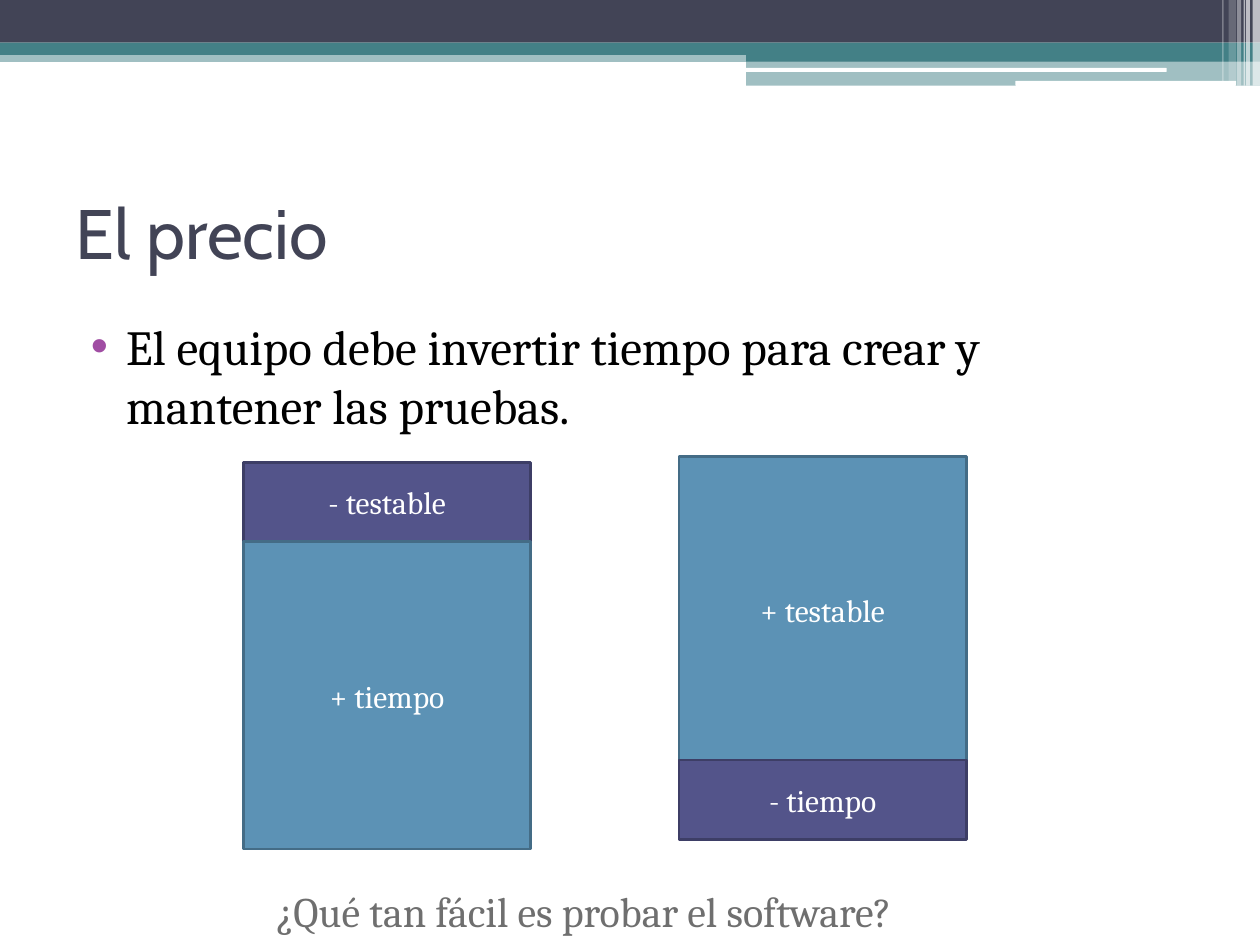
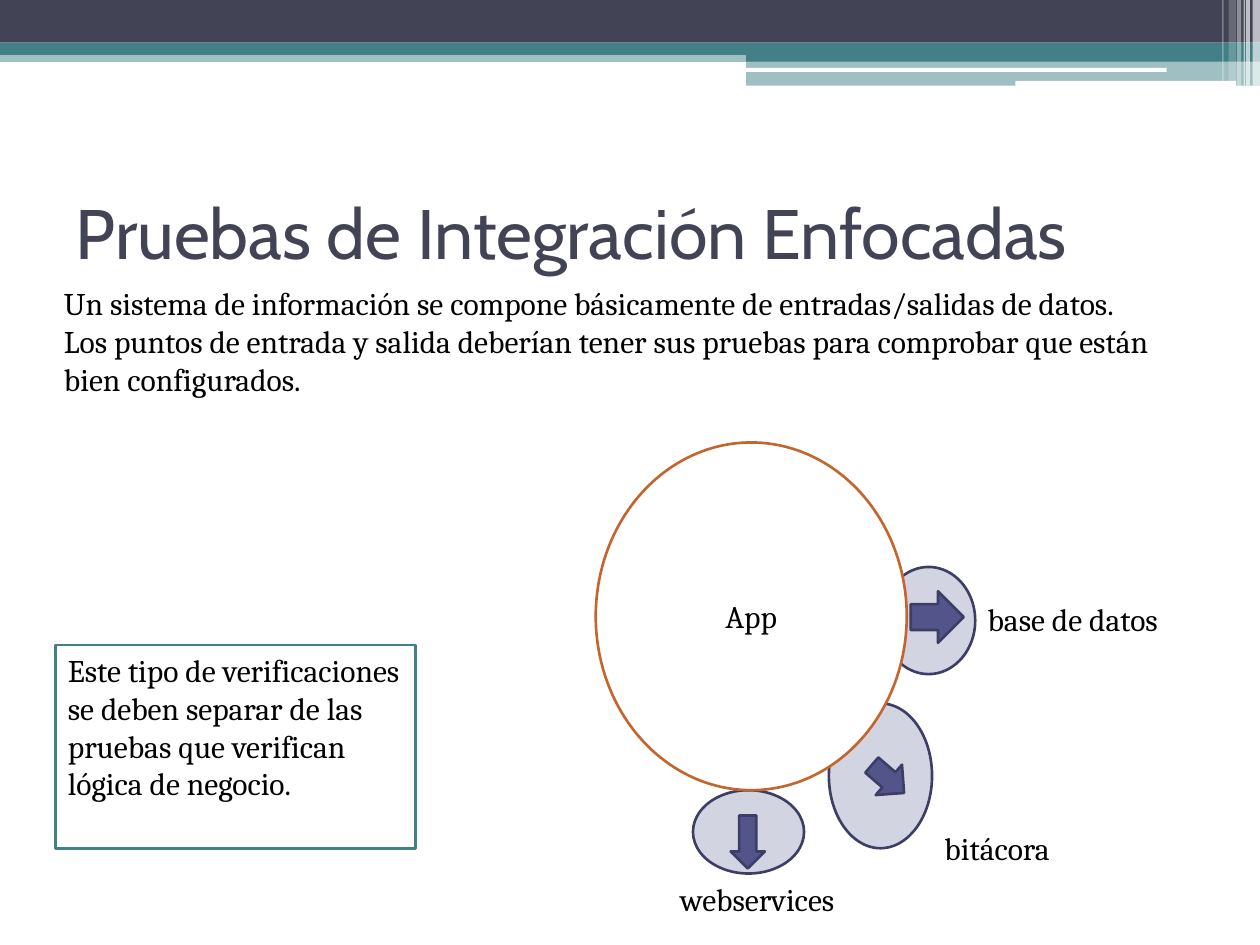
from lxml import etree
from pptx import Presentation
from pptx import util as u
from pptx.dml.color import RGBColor
from pptx.enum import shapes, text
from pptx.oxml import ns

COLORS = {
    "ink": "424456",
    "teal": "438086",
    "white": "FFFFFF",
    "black": "000000",
    "bullet": "A04DA3",
    "purple": "53548A",
    "purple_edge": "3D3E66",
    "blue": "5C92B5",
    "blue_edge": "446C86",
    "orange": "C4652D",
    "gray": "6F6F6F",
}
SLIDE_WIDTH, SLIDE_HEIGHT = 25.4, 19.05
TITLE_BOX = (1.27, 3.18, 22.86, 2.97)
BODY_BOX = (1.27, 6.25, 22.86, 12.01)
KIND = shapes.MSO_SHAPE
CENTER = text.PP_ALIGN.CENTER
MIDDLE = text.MSO_ANCHOR.MIDDLE
TOP = text.MSO_ANCHOR.TOP
PURPLE_STYLE = {"fill": "purple", "line": "purple_edge"}
BLUE_STYLE = {"fill": "blue", "line": "blue_edge"}


def rgb(name):
    return RGBColor.from_string(COLORS[name])


def to_lengths(box):
    return [u.Cm(value) for value in box]


def within(box, part):
    return (box[0] + part[0], box[1] + part[1], *part[2:])


def write_text(shape, *lines, size=18, font="Cambria", color="black",
               align=text.PP_ALIGN.LEFT, anchor=TOP, wrap=True):
    frame = shape.text_frame
    frame.auto_size = text.MSO_AUTO_SIZE.NONE
    frame.word_wrap = wrap
    frame.vertical_anchor = anchor
    frame.text = "\n".join(lines)
    for paragraph in frame.paragraphs:
        paragraph.alignment = align
        for run in paragraph.runs:
            run.font.size = u.Pt(size)
            run.font.name = font
            run.font.color.rgb = rgb(color)
    return frame.paragraphs


def draw_shape(slide, kind, box, fill, line=None, opacity=100, rotation=0):
    shape = slide.shapes.add_shape(kind, *to_lengths(box))
    shape.shadow.inherit = False
    shape.rotation = rotation
    shape.fill.solid()
    shape.fill.fore_color.rgb = rgb(fill)
    if opacity < 100:
        color = shape.element.spPr.find(".//" + ns.qn("a:srgbClr"))
        etree.SubElement(color, ns.qn("a:alpha"), val=str(opacity * 1000))
    if line:
        shape.line.color.rgb = rgb(line)
        shape.line.width = u.Pt(1.5)
    else:
        shape.line.fill.background()
    return shape


def draw_text(slide, box, *lines, **style):
    write_text(slide.shapes.add_textbox(*to_lengths(box)), *lines, **style)


def place_placeholder(placeholder, box):
    placeholder.left, placeholder.top, placeholder.width, placeholder.height = to_lengths(box)


def add_titled_slide(presentation, layout_index, title):
    slide = presentation.slides.add_slide(presentation.slide_layouts[layout_index])
    place_placeholder(slide.shapes.title, TITLE_BOX)
    write_text(slide.shapes.title, title, size=40, font="Cabin", color="ink", anchor=MIDDLE)
    return slide


def draw_header_band(slide):
    half_left = 15.04
    half_width = SLIDE_WIDTH - half_left
    bars = [
        ((0, 1.02, SLIDE_WIDTH, 0.23), "teal", 50),
        ((0, 0, SLIDE_WIDTH, 0.86), "ink", 100),
        ((0, 0.86, SLIDE_WIDTH, 0.25), "teal", 100),
        ((half_left, 0.99, half_width, 0.25), "teal", 100),
        ((half_left, 1.22, half_width, 0.51), "teal", 50),
    ]
    highlights = [(15.01, 1.37, 8.51, 0.08), (20.47, 1.63, 4.45, 0.1)]
    stripes = [
        (25.25, 0.15, 1.73, 65),
        (25.12, 0.08, 1.73, 65),
        (25.07, 0.03, 1.73, 60),
        (24.94, 0.08, 1.73, 40),
        (24.77, 0.15, 1.63, 20),
        (24.64, 0.03, 1.63, 30),
    ]
    band = [draw_shape(slide, KIND.RECTANGLE, box, fill, opacity=opacity)
            for box, fill, opacity in bars]
    band += [draw_shape(slide, KIND.ROUNDED_RECTANGLE, box, "white") for box in highlights]
    band += [draw_shape(slide, KIND.RECTANGLE, (left, 0, width, height), "white", opacity=opacity)
             for left, width, height, opacity in stripes]
    return band


def move_to_master(presentation, band):
    tree = presentation.slide_master.shapes.element
    for number, shape in enumerate(band, 100):
        shape.element.find(".//" + ns.qn("p:cNvPr")).set("id", str(number))
        tree.insert_element_before(shape.element, "p:extLst")


def write_bullets(placeholder, box, *lines):
    place_placeholder(placeholder, box)
    for paragraph in write_text(placeholder, *lines, size=28):
        paragraph.space_before = u.Pt(3)
        properties = paragraph.element.get_or_add_pPr() if hasattr(paragraph, "element") \
            else paragraph._p.get_or_add_pPr()
        properties.set("marL", str(u.Cm(1.02)))
        properties.set("indent", str(u.Cm(-0.71)))
        bullet_color = etree.SubElement(properties, ns.qn("a:buClr"))
        etree.SubElement(bullet_color, ns.qn("a:srgbClr"), val=COLORS["bullet"])
        etree.SubElement(properties, ns.qn("a:buChar"), char="•")


def draw_stack(slide, box, upper, lower):
    left, top, width, height = box
    for (label, block_height, style), offset in ((upper, 0), (lower, height - lower[1])):
        block = draw_shape(slide, KIND.RECTANGLE, (left, top + offset, width, block_height), **style)
        write_text(block, label, color="white", align=CENTER, anchor=MIDDLE)


def draw_integration(slide, box):
    ports = [
        ("webservices", (1.96, 7.01, 2.24, 1.68), (1.45, 8.69, 3.89, 1.02),
         KIND.DOWN_ARROW, (2.72, 7.52, 0.69, 1.07), 0),
        ("bitácora", (4.7, 5.26, 2.08, 2.92), (6.78, 7.67, 2.84, 1.02),
         KIND.RIGHT_ARROW, (5.46, 6.38, 0.86, 0.81), 40.8),
        ("base de datos", (5.77, 2.51, 1.88, 2.16), (7.65, 3.05, 4.32, 1.02),
         KIND.RIGHT_ARROW, (6.35, 3, 1.07, 1.04), 0),
    ]
    for _, port_box, *_ in ports:
        draw_shape(slide, KIND.OVAL, within(box, port_box), opacity=25, **PURPLE_STYLE)
    app = draw_shape(slide, KIND.OVAL, within(box, (0, 0, 6.27, 7.01)), "white", "orange")
    write_text(app, "App", align=CENTER, anchor=MIDDLE)
    for label, _, label_box, arrow, arrow_box, rotation in ports:
        draw_shape(slide, arrow, within(box, arrow_box), rotation=rotation, **PURPLE_STYLE)
        draw_text(slide, within(box, label_box), label, wrap=False)


def build_price_slide(presentation):
    slide = add_titled_slide(presentation, 1, "El precio")
    move_to_master(presentation, draw_header_band(slide))
    write_bullets(slide.placeholders[1], BODY_BOX,
                  "El equipo debe invertir tiempo para crear y mantener las pruebas.")
    small, large = 1.6, 6.2
    draw_stack(slide, (4.91, 9.32, 5.79, 7.8),
               ("- testable", small, PURPLE_STYLE), ("+ tiempo", large, BLUE_STYLE))
    draw_stack(slide, (13.69, 9.2, 5.79, 7.72),
               ("+ testable", large, BLUE_STYLE), ("- tiempo", small, PURPLE_STYLE))
    draw_text(slide, (5.31, 17.73, 14.17, 1.27), "¿Qué tan fácil es probar el software?",
              size=24, color="gray", wrap=False)


def build_integration_slide(presentation):
    slide = add_titled_slide(presentation, 5, "Pruebas de Integración Enfocadas")
    draw_integration(slide, (12.01, 8.92))
    draw_text(slide, (1.04, 5.61, 22.58, 3.33),
              "Un sistema de información se compone básicamente de entradas/salidas de datos.",
              "Los puntos de entrada y salida deberían tener sus pruebas para comprobar "
              "que están bien configurados.")
    note = draw_shape(slide, KIND.RECTANGLE, (1.12, 13, 7.26, 4.11), "white", "teal")
    write_text(note, "Este tipo de verificaciones se deben separar de las pruebas "
                     "que verifican lógica de negocio.")


def main():
    presentation = Presentation()
    presentation.slide_width, presentation.slide_height = to_lengths((SLIDE_WIDTH, SLIDE_HEIGHT))
    build_price_slide(presentation)
    build_integration_slide(presentation)
    presentation.save("out.pptx")


if __name__ == "__main__":
    main()
